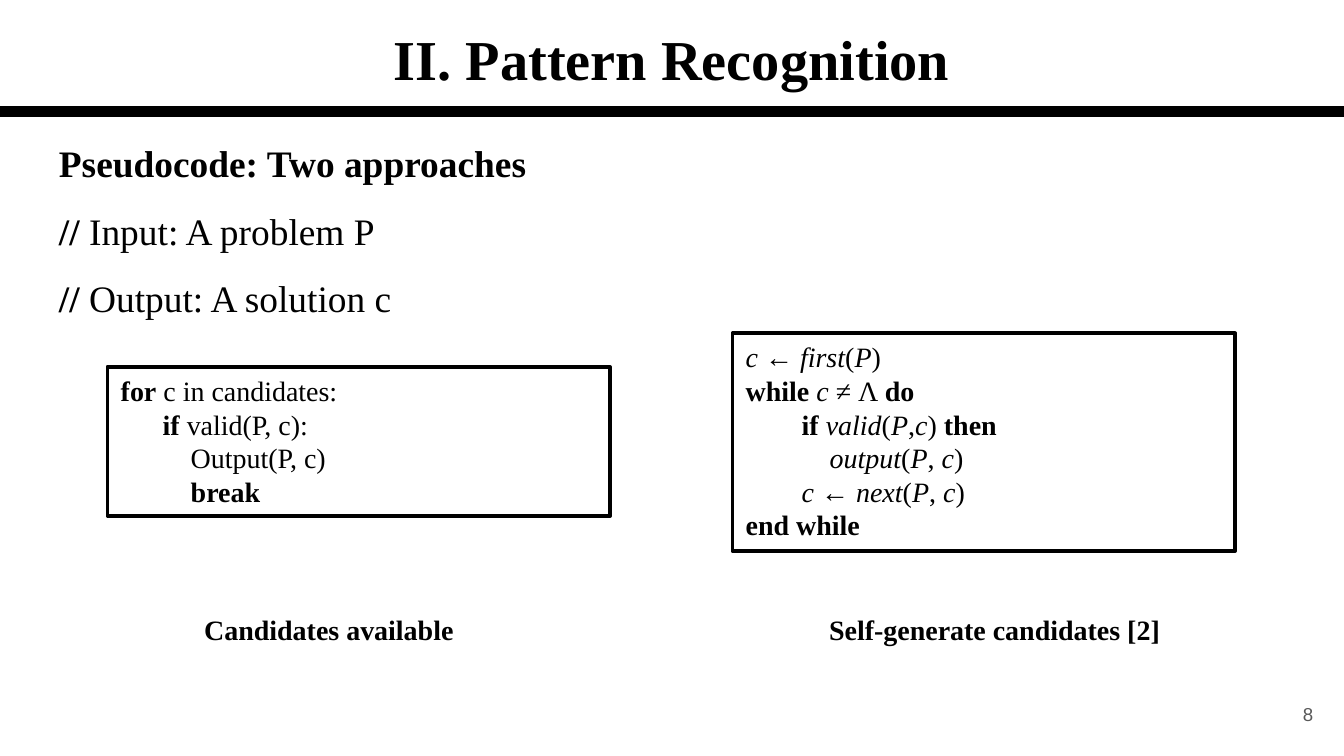
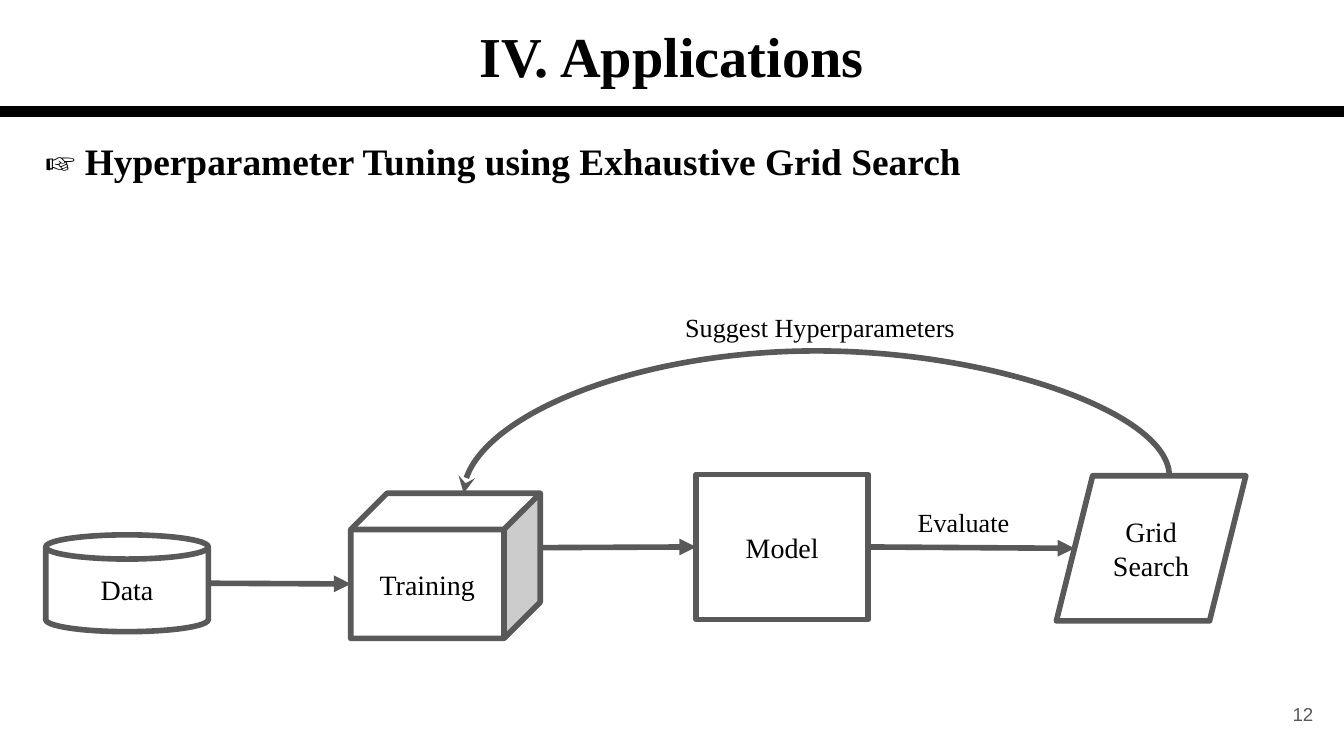
from dataclasses import dataclass

from lxml.etree import SubElement
from pptx import Presentation
from pptx.dml.color import RGBColor
from pptx.enum.shapes import MSO_CONNECTOR, MSO_SHAPE
from pptx.enum.text import MSO_ANCHOR, MSO_AUTO_SIZE, PP_ALIGN
from pptx.oxml.ns import qn
from pptx.util import Inches, Pt


@dataclass(frozen=True)
class Theme:
    ink: RGBColor = RGBColor(0, 0, 0)
    gray: RGBColor = RGBColor(0x59, 0x59, 0x59)
    paper: RGBColor = RGBColor(255, 255, 255)
    serif: str = "Times New Roman"
    sans: str = "Arial"
    title: float = 30.2
    heading: float = 20
    body: float = 15
    label: float = 14
    number: float = 10


THEME = Theme()
WIDTH = 10
HEIGHT = WIDTH * 9 / 16
RULE_Y = 0.83
SPACE = THEME.body / 4  # width in points of one indent step of the code

# Content: *bold*, _italic_; code lines are (indent steps, text)
PSEUDOCODE = {
    "title": "II. Pattern Recognition", "title_top": 0.08, "number": "8",
    "intro": ["*Pseudocode: Two approaches*",
              "*// *Input: A problem P",
              "*// *Output: A solution c"],
    "approaches": [
        {"code_at": (0.8, 2.73, 3.74, 1.11),
         "code": [(0, "*for* c in candidates:"),
                  (6, "*if* valid(P, c):"),
                  (10, "Output(P, c)"),
                  (10, "*break*")],
         "caption": "*Candidates available*", "caption_at": (1.42, 4.51, 2.52, 0.35)},
        {"code_at": (5.45, 2.48, 3.74, 1.62),
         "code": [(0, "_c_ ← _first_(_P_)"),
                  (0, "*while *_c_ ≠ Λ *do*"),
                  (8, "*if *_valid_(_P_,_c_) *then*"),
                  (12, "_output_(_P_, _c_)"),
                  (8, "_c_ ← _next_(_P_, _c_)"),
                  (0, "*end while*")],
         "caption": "*Self-generate candidates [2]*", "caption_at": (6.07, 4.51, 2.71, 0.35)},
    ],
}
APPLICATIONS = {
    "title": "IV. Applications", "title_top": 0.06, "number": "12",
    "heading": "*☞ Hyperparameter Tuning using Exhaustive Grid Search*",
    "nodes": {
        "Data": (MSO_SHAPE.CAN, (0.34, 3.98, 1.21, 0.72)),
        "Training": (MSO_SHAPE.CUBE, (2.61, 3.67, 1.41, 1.08)),
        "Model": (MSO_SHAPE.FLOWCHART_PROCESS, (5.18, 3.53, 1.28, 1.08)),
        "Grid Search": (MSO_SHAPE.PARALLELOGRAM, (7.86, 3.54, 1.41, 1.08)),
    },
    "steps": [("Data", "Training"), ("Training", "Model"), ("Model", "Grid Search")],
    "feedback": ("Training", "Grid Search"),
    "labels": [("Suggest Hyperparameters", (5, 2.22, 2.4, 0.44)),
               ("Evaluate", (6.73, 3.67, 1, 0.44))],
}


# Text
def split_marks(text):
    """Yield (piece, bold, italic) for text marked with * and _."""
    piece, bold, italic = "", False, False
    for char in text:
        if char not in "*_":
            piece += char
            continue
        if piece:
            yield piece, bold, italic
        piece = ""
        bold, italic = bold ^ (char == "*"), italic ^ (char == "_")
    if piece:
        yield piece, bold, italic


def style_run(run, size, bold=False, italic=False, color=THEME.ink, font=THEME.serif):
    run.font.name, run.font.size = font, Pt(size)
    run.font.bold, run.font.italic = bold, italic
    run.font.color.rgb = color


def write(frame, lines, size, align=PP_ALIGN.LEFT, anchor=MSO_ANCHOR.TOP,
          inset=0.1, spacing=None, grow=False, color=THEME.ink, font=THEME.serif):
    frame.word_wrap = True
    frame.auto_size = MSO_AUTO_SIZE.SHAPE_TO_FIT_TEXT if grow else MSO_AUTO_SIZE.NONE
    frame.vertical_anchor = anchor
    frame.margin_left = frame.margin_right = Inches(0.1)
    frame.margin_top = frame.margin_bottom = Inches(inset)
    for index, (steps, line) in enumerate(lines):
        paragraph = frame.add_paragraph() if index else frame.paragraphs[0]
        paragraph.alignment, paragraph.line_spacing = align, spacing
        if steps:
            properties = paragraph._p.get_or_add_pPr()
            properties.set("marL", str(Pt(steps * SPACE)))
            properties.set("indent", "0")
        for piece, bold, italic in split_marks(line):
            run = paragraph.add_run()
            run.text = piece
            style_run(run, size, bold, italic, color, font)


def place(at):
    return [Inches(length) for length in at]


def add_text(slide, at, lines, size, **options):
    box = slide.shapes.add_textbox(*place(at))
    write(box.text_frame, [(0, line) for line in lines], size, **options)


# Shapes and lines
def add_panel(slide, preset, at, color, weight):
    panel = slide.shapes.add_shape(preset, *place(at))
    panel.shadow.inherit = False
    panel.fill.solid()
    panel.fill.fore_color.rgb = THEME.paper
    panel.line.color.rgb, panel.line.width = color, Pt(weight)
    return panel


def add_line(slide, start, end, color, weight, kind=MSO_CONNECTOR.STRAIGHT, head=None, tail=None):
    line = slide.shapes.add_connector(kind, *place(start + end))
    line.line.color.rgb, line.line.width = color, Pt(weight)
    outline = line.line._ln
    for tag, arrow in (("a:headEnd", head), ("a:tailEnd", tail)):
        if arrow:
            SubElement(outline, qn(tag), type=arrow)
    SubElement(line._element.spPr, qn("a:effectLst"))
    return line


def add_arc(slide, start, end, lift):
    """Curve over the top from end to start, with the arrowhead at start."""
    rise, span = start[1] - end[1], end[0] - start[0]
    middle_x, middle_y = (start[0] + end[0]) / 2, (start[1] + end[1]) / 2
    # The connector stands upright and is turned a quarter to the left
    arc = add_line(slide, (middle_x - rise / 2, middle_y - span / 2),
                   (middle_x + rise / 2, middle_y + span / 2),
                   THEME.gray, 3, MSO_CONNECTOR.CURVE, head="stealth")
    properties = arc._element.spPr
    properties.find(qn("a:xfrm")).set("rot", str(270 * 60000))
    adjustments = properties.find(qn("a:prstGeom")).find(qn("a:avLst"))
    SubElement(adjustments, qn("a:gd"), name="adj1", fmla=f"val {round(lift / rise * 100000)}")


def sites(preset, at):
    """Points where lines enter, leave and meet the top of a node."""
    left, top, width, height = at
    slant = 0.25 * height if preset in (MSO_SHAPE.CUBE, MSO_SHAPE.PARALLELOGRAM) else 0
    lean_x = slant / 2 if preset == MSO_SHAPE.PARALLELOGRAM else 0
    lean_y = slant / 2 if preset == MSO_SHAPE.CUBE else 0
    middle = top + height / 2
    return {"in": (left + lean_x, middle + lean_y),
            "out": (left + width - lean_x, middle - lean_y),
            "top": (left + (width + slant) / 2, top)}


# Slides
def start_slide(deck, content):
    slide = deck.slides.add_slide(deck.slide_layouts[5])
    title = slide.shapes.title
    title.left, title.top, title.width, title.height = place((0, content["title_top"], WIDTH, 0.63))
    write(title.text_frame, [(0, f"*{content['title']}*")], THEME.title, PP_ALIGN.CENTER)
    add_text(slide, (9.27, 5.1, 0.6, 0.43), [content["number"]], THEME.number,
             align=PP_ALIGN.RIGHT, anchor=MSO_ANCHOR.MIDDLE, color=THEME.gray, font=THEME.sans)
    add_line(slide, (0, RULE_Y), (WIDTH, RULE_Y), THEME.ink, 6)
    return slide


def build_pseudocode(deck, content):
    slide = start_slide(deck, content)
    add_text(slide, (0.34, 0.83, 4.21, 1.56), content["intro"], THEME.heading,
             inset=0.05, spacing=1.5, grow=True)
    for approach in content["approaches"]:
        panel = add_panel(slide, MSO_SHAPE.RECTANGLE, approach["code_at"], THEME.ink, 2)
        write(panel.text_frame, approach["code"], THEME.body, inset=0.05, grow=True)
        add_text(slide, approach["caption_at"], [approach["caption"]], THEME.body,
                 inset=0.05, grow=True)


def build_applications(deck, content):
    slide = start_slide(deck, content)
    add_text(slide, (0.24, 0.88, 7.17, 0.63), [content["heading"]], THEME.heading, spacing=1.15)
    ends = {}
    for name, (preset, at) in content["nodes"].items():
        node = add_panel(slide, preset, at, THEME.gray, 3)
        write(node.text_frame, [(0, name)], THEME.body, PP_ALIGN.CENTER, MSO_ANCHOR.MIDDLE)
        ends[name] = sites(preset, at)
    for source, target in content["steps"]:
        add_line(slide, ends[source]["out"], ends[target]["in"], THEME.gray, 3, tail="triangle")
    target, source = content["feedback"]
    add_arc(slide, ends[target]["top"], ends[source]["top"], lift=1.06)
    for label, at in content["labels"]:
        add_text(slide, at, [label], THEME.label, grow=True)


def main():
    deck = Presentation()
    deck.slide_width, deck.slide_height = Inches(WIDTH), Inches(HEIGHT)
    build_pseudocode(deck, PSEUDOCODE)
    build_applications(deck, APPLICATIONS)
    deck.save("out.pptx")


if __name__ == "__main__":
    main()
